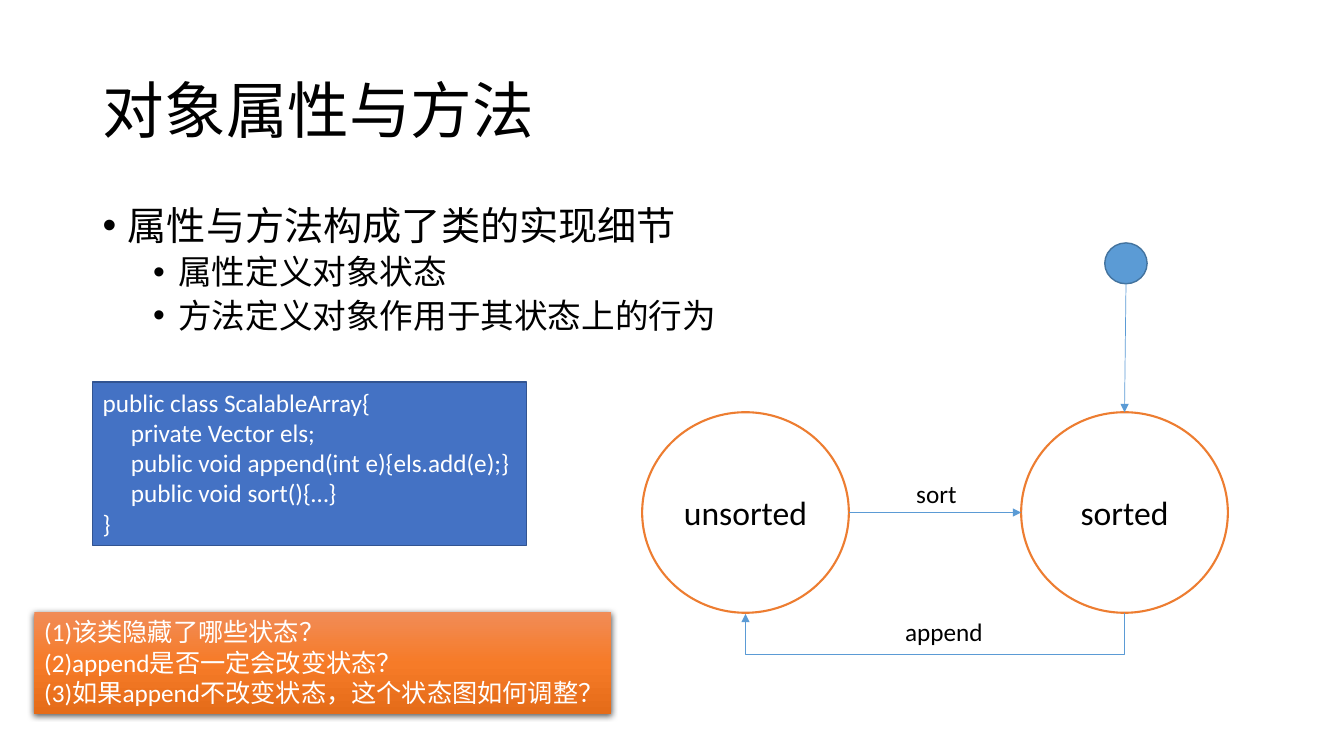
from lxml.etree import SubElement
from pptx import Presentation
from pptx.dml.color import RGBColor
from pptx.enum.shapes import MSO_CONNECTOR as LINK, MSO_SHAPE as SHAPE
from pptx.enum.text import MSO_ANCHOR as ANCHOR, PP_ALIGN as ALIGN
from pptx.oxml.ns import qn
from pptx.util import Inches, Pt

WIDTH, HEIGHT = Inches(13.33), Inches(7.5)
COLUMN, ROW = WIDTH / 100, HEIGHT / 100

BLACK = RGBColor(0x00, 0x00, 0x00)
WHITE = RGBColor(0xFF, 0xFF, 0xFF)
CODE_BLUE = RGBColor(0x44, 0x72, 0xC4)
CODE_EDGE = RGBColor(0x32, 0x54, 0x91)
STATE_ORANGE = RGBColor(0xED, 0x7D, 0x31)
START_BLUE = RGBColor(0x5B, 0x9B, 0xD5)
START_EDGE = RGBColor(0x43, 0x73, 0x9E)
ORANGE_STOPS = (
    (0, RGBColor(0xF1, 0x8C, 0x57)),
    (50, RGBColor(0xF6, 0x7B, 0x28)),
    (100, RGBColor(0xE5, 0x6C, 0x19)),
)

BULLETS = (
    ("属性与方法构成了类的实现细节", 0, 28, 10),
    ("属性定义对象状态", 1, 24, 5),
    ("方法定义对象作用于其状态上的行为", 1, 24, 5),
)
CODE = (
    ("public class ScalableArray{", 0),
    ("private Vector els;", 0.28),
    ("public void append(int e){els.add(e);}", 0.28),
    ("public void sort(){…}", 0.28),
    ("}", 0),
)
QUESTIONS = (
    "(1)该类隐藏了哪些状态？",
    "(2)append是否一定会改变状态？",
    "(3)如果append不改变状态，这个状态图如何调整？",
)

STATE_WIDTH, STATE_HEIGHT = 15.38, 26.53
STATE_TOP = 54.53
UNSORTED_LEFT, SORTED_LEFT = 47.78, 75.98
STATE_MIDDLE = STATE_TOP + STATE_HEIGHT / 2
STATE_BOTTOM = STATE_TOP + STATE_HEIGHT
UNSORTED_CENTER = UNSORTED_LEFT + STATE_WIDTH / 2
SORTED_CENTER = SORTED_LEFT + STATE_WIDTH / 2
RETURN_ROW = 86.67


def grid(*cells):
    return [round(cell * (ROW if i % 2 else COLUMN)) for i, cell in enumerate(cells)]


def add_line(frame, index, text, size, color, align=ALIGN.LEFT):
    line = frame.add_paragraph() if index else frame.paragraphs[0]
    line.alignment = align
    run = line.add_run()
    run.text = text
    run.font.name = "Calibri"
    run.font.size = Pt(size)
    run.font.color.rgb = color
    return line


def indent(line, left, hanging=0):
    properties = line._p.get_or_add_pPr()
    properties.set("marL", str(Inches(left)))
    properties.set("indent", str(-Inches(hanging)))
    return properties


def add_title(slide, text):
    title = slide.shapes.title
    title.left, title.top, title.width, title.height = grid(6.9, 5.33, 86.27, 19.33)
    title.text_frame.vertical_anchor = ANCHOR.MIDDLE
    add_line(title.text_frame, 0, text, 44, BLACK).line_spacing = 0.9


def add_bullets(slide):
    frame = slide.shapes.add_textbox(*grid(6.9, 26.67, 86.27, 63.47)).text_frame
    frame.word_wrap = True
    for index, (text, level, size, before) in enumerate(BULLETS):
        line = add_line(frame, index, text, size, BLACK)
        line.level = level
        line.line_spacing = 0.9
        line.space_before = Pt(before)
        properties = indent(line, 0.25 + level * 0.5, 0.25)
        SubElement(properties, qn("a:buFont"), typeface="Arial")
        SubElement(properties, qn("a:buChar"), char="•")


def add_figure(slide, kind, cells, fill, edge=None, weight=1):
    figure = slide.shapes.add_shape(kind, *grid(*cells))
    figure.shadow.inherit = False
    if fill:
        figure.fill.solid()
        figure.fill.fore_color.rgb = fill
    if edge:
        figure.line.color.rgb = edge
        figure.line.width = Pt(weight)
    else:
        figure.line.fill.background()
    figure.text_frame.vertical_anchor = ANCHOR.TOP
    return figure


def add_code(slide):
    panel = add_figure(slide, SHAPE.RECTANGLE, (6.9, 50.53, 32.26, 21.6), CODE_BLUE, CODE_EDGE)
    panel.text_frame.word_wrap = False
    for index, (text, left) in enumerate(CODE):
        indent(add_line(panel.text_frame, index, text, 18, WHITE), left)


def add_state(slide, left, name):
    cells = (left, STATE_TOP, STATE_WIDTH, STATE_HEIGHT)
    state = add_figure(slide, SHAPE.OVAL, cells, WHITE, STATE_ORANGE, 1.5)
    state.text_frame.vertical_anchor = ANCHOR.MIDDLE
    add_line(state.text_frame, 0, name, 24, BLACK, ALIGN.CENTER)


def add_arrow(slide, kind, cells):
    arrow = slide.shapes.add_connector(kind, *grid(*cells))
    arrow.line.color.rgb = START_BLUE
    arrow.line.width = Pt(0.5)
    SubElement(arrow.line._get_or_add_ln(), qn("a:tailEnd"), type="triangle")
    SubElement(arrow._element.spPr, qn("a:effectLst"))
    return arrow


def add_return_arrow(slide):
    arrow = add_arrow(slide, LINK.ELBOW, (UNSORTED_CENTER, STATE_BOTTOM, SORTED_CENTER, STATE_BOTTOM))
    span, thickness = arrow.width, Inches(0.01)
    arrow.left += (span - thickness) // 2
    arrow.top -= (span - thickness) // 2
    arrow.width, arrow.height = thickness, span
    properties = arrow._element.spPr
    properties.find(qn("a:xfrm")).set("rot", "5400000")
    drop = (RETURN_ROW - STATE_BOTTOM) * ROW / thickness
    guides = properties.find(qn("a:prstGeom")).get_or_add_avLst()
    SubElement(guides, qn("a:gd"), name="adj1", fmla=f"val {round(drop * 100000)}")


def add_label(slide, cells, text):
    frame = slide.shapes.add_textbox(*grid(*cells)).text_frame
    frame.word_wrap = False
    add_line(frame, 0, text, 18, BLACK)


def add_color(parent, color):
    return SubElement(parent, qn("a:srgbClr"), val=str(color))


def add_questions(slide):
    panel = add_figure(slide, SHAPE.RECTANGLE, (2.55, 80.93, 42.9, 13.47), None)
    panel.fill.gradient()
    panel.fill.gradient_angle = 270
    properties = panel._element.spPr
    stops = properties.find(qn("a:gradFill")).find(qn("a:gsLst"))
    for stop in list(stops):
        stops.remove(stop)
    for position, color in ORANGE_STOPS:
        add_color(SubElement(stops, qn("a:gs"), pos=str(position * 1000)), color)
    shadow = SubElement(
        properties.find(qn("a:effectLst")), qn("a:outerShdw"),
        blurRad=str(Pt(4.5)), dist=str(Pt(1.5)), dir="5400000", algn="ctr", rotWithShape="0",
    )
    SubElement(add_color(shadow, BLACK), qn("a:alpha"), val="63000")
    panel.text_frame.word_wrap = True
    for index, question in enumerate(QUESTIONS):
        add_line(panel.text_frame, index, question, 18, WHITE)


def main():
    deck = Presentation()
    deck.slide_width, deck.slide_height = WIDTH, HEIGHT
    slide = deck.slides.add_slide(deck.slide_layouts[5])
    add_title(slide, "对象属性与方法")
    add_bullets(slide)
    add_code(slide)
    add_state(slide, UNSORTED_LEFT, "unsorted")
    add_state(slide, SORTED_LEFT, "sorted")
    add_figure(slide, SHAPE.OVAL, (82.2, 32.13, 3.15, 5.4), START_BLUE, START_EDGE)
    add_arrow(slide, LINK.STRAIGHT, (83.78, 37.53, SORTED_CENTER, STATE_TOP))
    add_arrow(slide, LINK.STRAIGHT, (UNSORTED_LEFT + STATE_WIDTH, STATE_MIDDLE, SORTED_LEFT, STATE_MIDDLE))
    add_return_arrow(slide)
    add_label(slide, (67.43, 62.67, 4.58, 5.33), "sort")
    add_label(slide, (66.6, 80.93, 7.35, 5.33), "append")
    add_questions(slide)
    deck.save("out.pptx")


if __name__ == "__main__":
    main()
